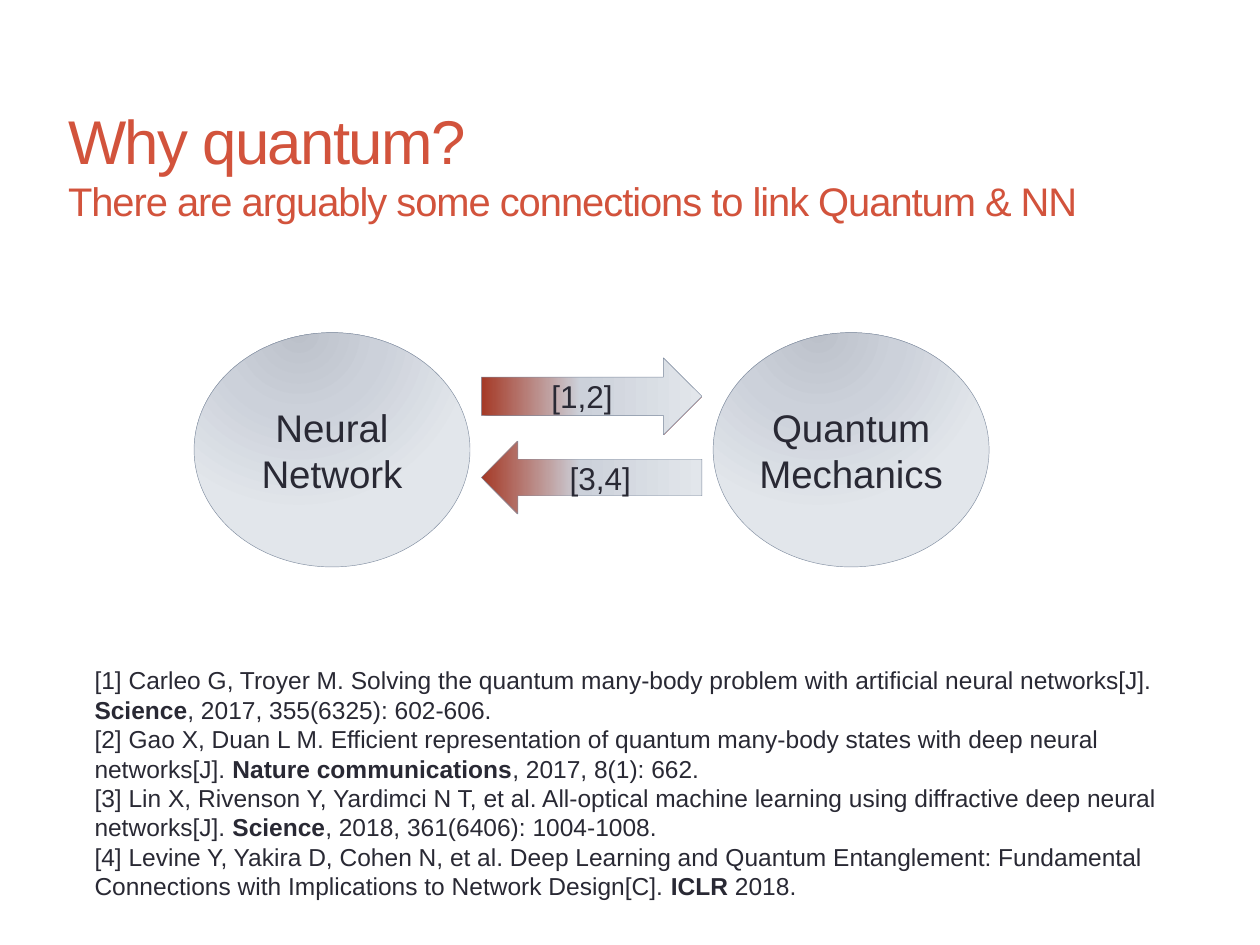
"""Build the "Why quantum?" slide linking neural networks and quantum mechanics."""
from pptx import Presentation
from pptx import util as u
from pptx.dml.color import RGBColor
from pptx.enum import shapes, text
from pptx.oxml import parse_xml
from pptx.oxml.ns import nsdecls

INK = RGBColor(0x29, 0x29, 0x34)
ACCENT = RGBColor(0xD2, 0x53, 0x3C)
OUTLINE = RGBColor(0x80, 0x8D, 0xA0)
ARROW_START = RGBColor(0xA5, 0x39, 0x26)
OVAL_START = RGBColor(0xBC, 0xC1, 0xCA)
MIDDLE = RGBColor(0xCC, 0xD1, 0xDA)
END = RGBColor(0xE2, 0xE6, 0xEB)
RADIAL = '<a:path path="circle"><a:fillToRect l="38000" t="-20000" r="62000" b="120000"/></a:path>'
LINEAR = '<a:lin ang="0" scaled="0"/>'
OVAL = shapes.MSO_SHAPE.OVAL
RIGHT = shapes.MSO_SHAPE.RIGHT_ARROW
LEFT = shapes.MSO_SHAPE.LEFT_ARROW


def set_frame(frame, anchor):
    frame.word_wrap = True
    frame.auto_size = text.MSO_AUTO_SIZE.NONE
    frame.vertical_anchor = anchor
    frame.margin_left = frame.margin_right = u.Inches(0.04)
    frame.margin_top = frame.margin_bottom = u.Inches(0.04)


def set_font(paragraph, size, color):
    paragraph.font.name = "Arial"
    paragraph.font.size = u.Pt(size)
    paragraph.font.color.rgb = color


prs = Presentation()
prs.slide_width, prs.slide_height = u.Inches(10), u.Inches(7.5)
slide = prs.slides.add_slide(prs.slide_layouts[5])

title = slide.shapes.title
title.left, title.top = u.Inches(0.5), u.Inches(0.81)
title.width, title.height = u.Inches(9), u.Inches(0.98)
set_frame(title.text_frame, text.MSO_ANCHOR.MIDDLE)
title.text_frame.text = "Why quantum?\nThere are arguably some connections to link Quantum & NN"
for paragraph, size, spacing in zip(title.text_frame.paragraphs, (35.3, 22.8), (-90, -60)):
    paragraph.alignment = text.PP_ALIGN.LEFT
    set_font(paragraph, size, ACCENT)
    paragraph.runs[0].font._element.set("spc", str(spacing))

diagram = [
    (OVAL, (1.54, 2.64, 2.19, 1.86), "Neural Network", (1.86, 3, 1.55, 1.15), 22, OVAL_START, RADIAL),
    (OVAL, (5.66, 2.64, 2.19, 1.86), "Quantum Mechanics", (5.98, 3.18, 1.55, 0.79), 22, OVAL_START, RADIAL),
    (RIGHT, (3.82, 2.84, 1.75, 0.61), "[1,2]", (3.82, 2.96, 1.6, 0.36), 18, ARROW_START, LINEAR),
    (LEFT, (3.82, 3.5, 1.75, 0.58), "[3,4]", (3.96, 3.61, 1.61, 0.36), 18, ARROW_START, LINEAR),
]
for kind, place, wording, label_place, size, start, direction in diagram:
    group = slide.shapes.add_group_shape()
    figure = group.shapes.add_shape(kind, *map(u.Inches, place))
    stops = "".join(
        f'<a:gs pos="{position}"><a:srgbClr val="{color}"/></a:gs>'
        for position, color in ((0, start), (45000, MIDDLE), (100000, END))
    )
    figure._element.spPr.insert(2, parse_xml(
        f'<a:gradFill {nsdecls("a")} rotWithShape="1"><a:gsLst>{stops}</a:gsLst>{direction}</a:gradFill>'
    ))
    figure.line.color.rgb = OUTLINE
    figure.line.width = u.Pt(0.25)
    figure.shadow.inherit = False

    label = group.shapes.add_textbox(*map(u.Inches, label_place)).text_frame
    set_frame(label, text.MSO_ANCHOR.MIDDLE)
    label.text = wording
    label.paragraphs[0].alignment = text.PP_ALIGN.CENTER
    set_font(label.paragraphs[0], size, INK)

citations = [
    ("[1] Carleo G, Troyer M. Solving the quantum many-body problem with artificial neural networks[J]. ",
     "Science", ", 2017, 355(6325): 602-606."),
    ("[2] Gao X, Duan L M. Efficient representation of quantum many-body states with deep neural networks[J]. ",
     "Nature communications", ", 2017, 8(1): 662."),
    ("[3] Lin X, Rivenson Y, Yardimci N T, et al. All-optical machine learning using diffractive deep neural "
     "networks[J]. ", "Science", ", 2018, 361(6406): 1004-1008."),
    ("[4] Levine Y, Yakira D, Cohen N, et al. Deep Learning and Quantum Entanglement: Fundamental Connections "
     "with Implications to Network Design[C]. ", "ICLR", " 2018."),
]
references = slide.shapes.add_textbox(*map(u.Inches, (0.71, 5.24, 8.58, 1.85))).text_frame
set_frame(references, text.MSO_ANCHOR.TOP)
for index, (work, venue, details) in enumerate(citations):
    paragraph = references.add_paragraph() if index else references.paragraphs[0]
    set_font(paragraph, 14, INK)
    for wording in (work, venue, details):
        run = paragraph.add_run()
        run.text = wording
        run.font.bold = wording == venue

prs.save("out.pptx")
